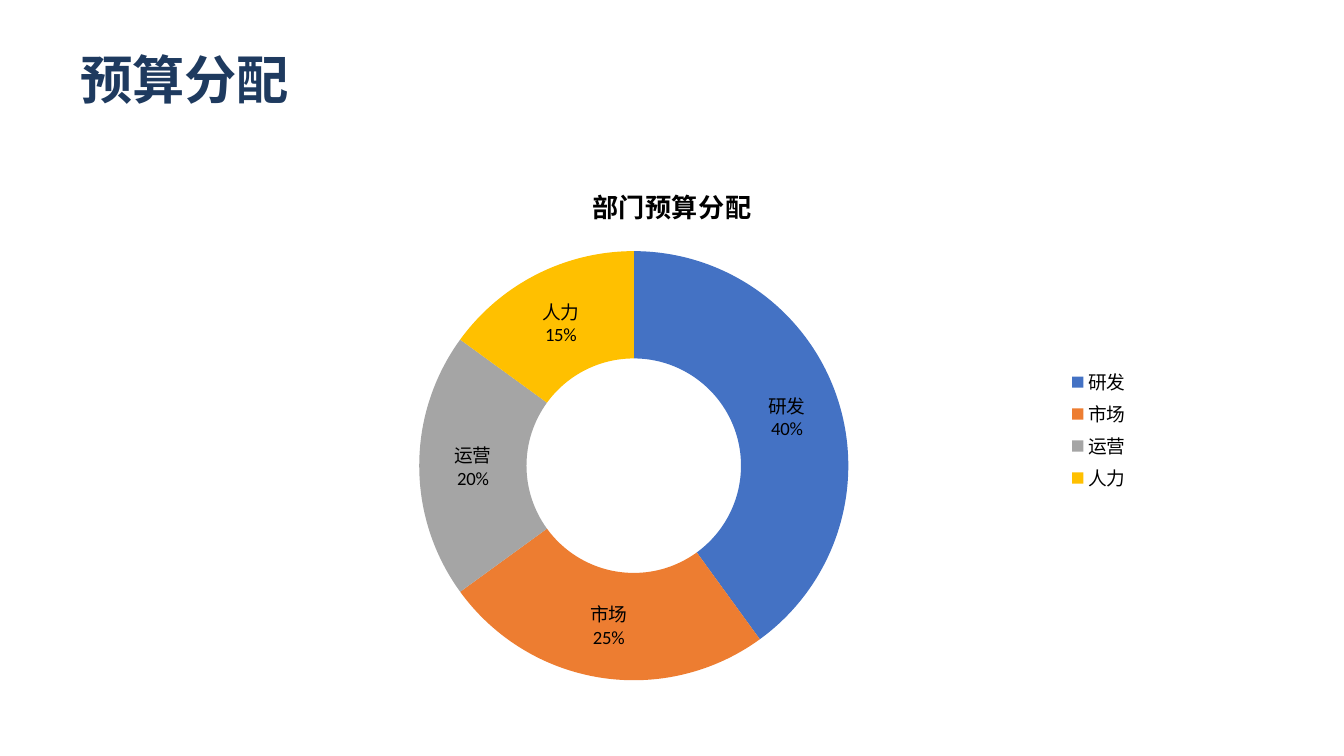
"""Build a slide with a doughnut chart of the budget by department."""
from lxml import etree
from pptx import Presentation
from pptx.chart.data import CategoryChartData
from pptx.dml.color import RGBColor
from pptx.enum.chart import XL_CHART_TYPE, XL_LEGEND_POSITION
from pptx.oxml.ns import qn
from pptx.util import Inches, Pt

DOUGHNUT = XL_CHART_TYPE.DOUGHNUT
LEGEND_RIGHT = XL_LEGEND_POSITION.RIGHT

TITLE = "预算分配"
CHART_TITLE = "部门预算分配"
BUDGET = [
    ("研发", 40, "4472C4"),
    ("市场", 25, "ED7D31"),
    ("运营", 20, "A5A5A5"),
    ("人力", 15, "FFC000"),
]
HOLE_SIZE = 60
CJK_FONT = "Noto Sans CJK SC"
CHART_FONT = "Calibri"


def rgb(value):
    return RGBColor.from_string(value)


def style(font, name, size, color, bold=False):
    font.name = name
    font.size = Pt(size)
    font.bold = bold
    font.color.rgb = rgb(color)


def add_title(slide):
    box = slide.shapes.add_textbox(Inches(0.5), Inches(0.3), Inches(9), Inches(0.6))
    tf = box.text_frame
    tf.word_wrap = True
    tf.text = TITLE
    r = tf.paragraphs[0].runs[0]
    style(r.font, CJK_FONT, 28, "1E3A5F", True)
    etree.SubElement(r.font._element, qn("a:ea")).set("typeface", CJK_FONT)


def add_budget_chart(slide):
    data = CategoryChartData()
    data.categories = [name for name, _, _ in BUDGET]
    data.add_series("Series 1", [share for _, share, _ in BUDGET])
    chart = slide.shapes.add_chart(
        DOUGHNUT, Inches(1.5), Inches(1.2), Inches(7), Inches(4), data
    ).chart
    style(chart.font, CHART_FONT, 10, "000000")

    tf = chart.chart_title.text_frame
    tf.text = CHART_TITLE
    style(tf.paragraphs[0].runs[0].font, CHART_FONT, 14, "000000", True)
    chart.has_legend = True
    chart.legend.position = LEGEND_RIGHT
    chart.legend.include_in_layout = False

    plot = chart.plots[0]
    plot.vary_by_categories = True
    plot._element.find(qn("c:holeSize")).set("val", str(HOLE_SIZE))
    series = plot.series[0]
    for i, (_, _, color) in enumerate(BUDGET):
        fill = series.points[i].format.fill
        fill.solid()
        fill.fore_color.rgb = rgb(color)

    labels = series.data_labels
    labels.show_category_name = True
    labels.show_percentage = True
    labels.show_value = False
    separator = etree.Element(qn("c:separator"))
    separator.text = "\n"
    labels._element.find(qn("c:showBubbleSize")).addnext(separator)


def main():
    prs = Presentation()
    prs.slide_width = Inches(10)
    prs.slide_height = prs.slide_width * 9 // 16
    slide = prs.slides.add_slide(prs.slide_layouts[6])
    add_title(slide)
    add_budget_chart(slide)
    prs.save("out.pptx")


if __name__ == "__main__":
    main()
